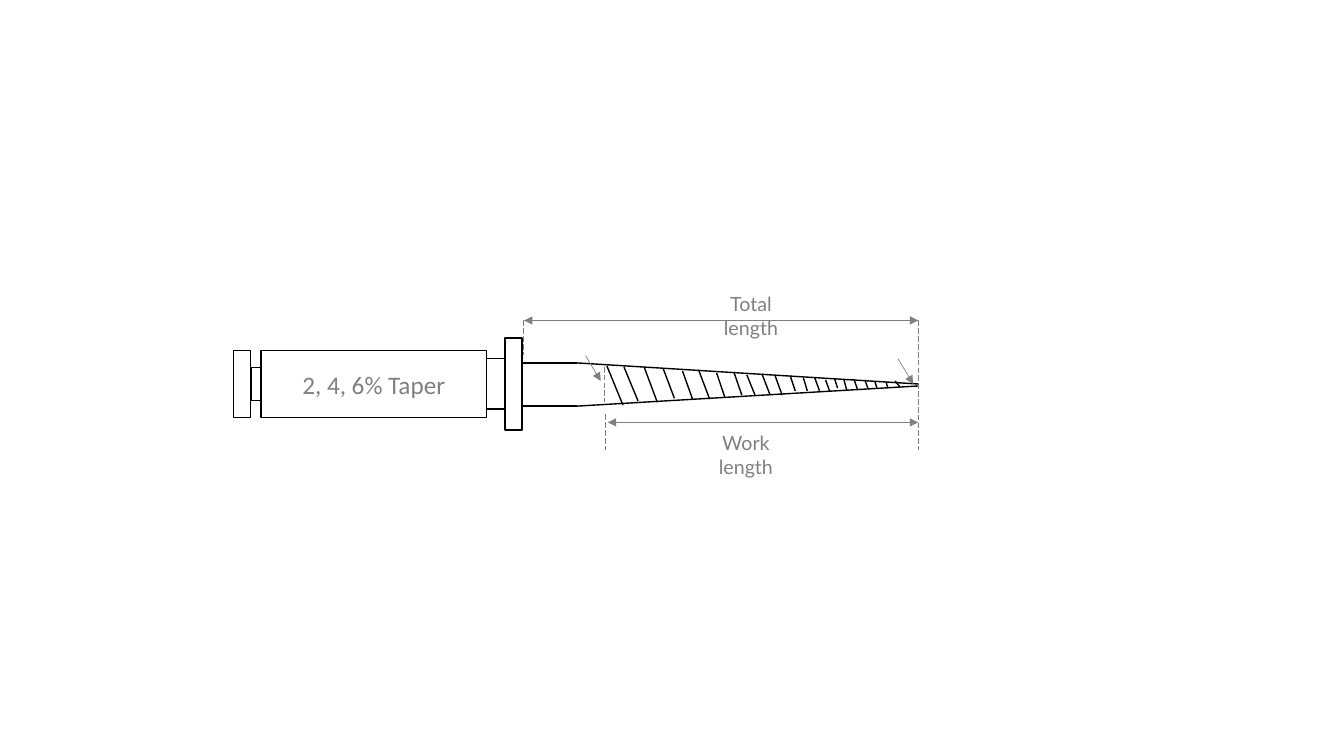
from lxml.etree import SubElement
from pptx import Presentation
from pptx.dml.color import RGBColor
from pptx.enum.dml import MSO_LINE
from pptx.enum.shapes import MSO_CONNECTOR, MSO_SHAPE
from pptx.enum.text import MSO_ANCHOR, PP_ALIGN
from pptx.oxml.ns import qn
from pptx.util import Pt

COLORS = {"outline": "000000", "measure": "808080"}

# Handle sections from left to right: width, height
HANDLE_PARTS = [(12.2, 48.2), (7.2, 23.8), (161.3, 48.2), (13, 36), (12.2, 65.5)]
GRIP_INDEX = 2

# Offsets from the start of the shaft and from the axis of the file
SHOULDER, TIP = 38.2, 282.2
SHAFT_TOP, SHAFT_BOTTOM, TIP_BOTTOM = -15.1, 15.8, 1.4

# Cutting edges: top x, top y, bottom x, bottom y
FLUTES = [
    (59.8, -13, 71.3, 15.1), (72, -12.2, 82.1, 12.2), (86.4, -12.2, 95.8, 13),
    (100.1, -10.8, 108, 10.1), (113.8, -9.4, 121, 10.8), (125.3, -10.1, 133.2, 10.8),
    (138.2, -7.9, 144, 9.4), (150.5, -8.6, 156.2, 7.9), (159.8, -6.5, 165.6, 7.9),
    (170.6, -7.2, 176.4, 7.9), (180, -5.8, 185, 7.9), (190.8, -5.8, 194.4, 5),
    (200.2, -4.3, 203, 5), (208.1, -5, 211.7, 5), (216, -2.9, 218.9, 5),
    (222.5, -3.6, 224.6, 2.9), (229, -3.6, 231.1, 4.3), (236.2, -3.6, 239, 4.3),
    (244.1, -2.9, 246.2, 2.9), (251.3, -1.4, 252.7, 2.9), (259.2, -1.4, 260.6, 2.9),
    (265.7, -2.2, 269.3, 2.2),
]


def rgb(name):
    return RGBColor.from_string(COLORS[name])


def write(frame, text, font_name, size):
    frame.text = text
    paragraph = frame.paragraphs[0]
    paragraph.alignment = PP_ALIGN.CENTER
    font = paragraph.runs[0].font
    font.name, font.size = font_name, Pt(size)
    font.color.rgb = rgb("measure")


def add_line(slide, origin, ends, color="outline", width=1, dashed=False, arrows=()):
    """Draw a line whose ends (x1, y1, x2, y2) are offsets from origin."""
    left, axis = origin
    x1, y1, x2, y2 = ends
    line = slide.shapes.add_connector(
        MSO_CONNECTOR.STRAIGHT,
        Pt(left + x1), Pt(axis + y1), Pt(left + x2), Pt(axis + y2))
    line.line.color.rgb = rgb(color)
    line.line.width = Pt(width)
    if dashed:
        line.line.dash_style = MSO_LINE.LONG_DASH
    properties = line.element.spPr
    for arrow in arrows:
        SubElement(properties.find(qn("a:ln")), qn(arrow), type="triangle")
    SubElement(properties, qn("a:effectLst"))


def draw_handle(slide, left, axis):
    for index, (width, height) in enumerate(HANDLE_PARTS):
        part = slide.shapes.add_shape(
            MSO_SHAPE.RECTANGLE,
            Pt(left), Pt(axis - height / 2), Pt(width), Pt(height))
        part.shadow.inherit = False
        part.fill.background()
        part.line.color.rgb = rgb("outline")
        part.line.width = Pt(1)
        if index == GRIP_INDEX:
            part.text_frame.vertical_anchor = MSO_ANCHOR.MIDDLE
            write(part.text_frame, "2, 4, 6% Taper", "Calibri", 18)
        left += width


def draw_shaft(slide, origin):
    for edge, tip_edge in ((SHAFT_TOP, 0), (SHAFT_BOTTOM, TIP_BOTTOM)):
        add_line(slide, origin, (0, edge, SHOULDER, edge))
        add_line(slide, origin, (SHOULDER, edge, TIP, tip_edge))
    for flute in FLUTES:
        add_line(slide, origin, flute)


def draw_measures(slide, origin):
    total_y, work_y, guide_bottom = -45.4, 27.4, 46.8
    guides = [
        (0, total_y, 0, -20.9), (TIP, total_y, TIP, guide_bottom),
        (59, 21.6, 59, guide_bottom), (58.3, -12.2, 58.3, 13),
    ]
    for guide in guides:
        add_line(slide, origin, guide, "measure", 0.5, dashed=True)
    for start, y in ((0.7, total_y), (60.5, work_y)):
        add_line(slide, origin, (start, y, TIP, y), "measure", 0.5,
                 arrows=("a:headEnd", "a:tailEnd"))
    for pointer in ((44.6, -20.2, 55.4, -2.2), (267.8, -18, 278.6, 0)):
        add_line(slide, origin, pointer, "measure", 0.5, arrows=("a:tailEnd",))

    left, axis = origin
    for text, x, y in (("Total length", 120.2, -69.1), ("Work length", 116.6, 30.2)):
        label = slide.shapes.add_textbox(Pt(left + x), Pt(axis + y), Pt(85), Pt(24.5))
        frame = label.text_frame
        frame.word_wrap = True
        frame.margin_left = frame.margin_right = Pt(10)
        write(frame, text, "Lato", 14)


def main():
    presentation = Presentation()
    presentation.slide_width, presentation.slide_height = Pt(960), Pt(540)
    slide = presentation.slides.add_slide(presentation.slide_layouts[6])
    axis = 274.3
    shaft_origin = (373.7, axis)
    draw_handle(slide, 167, axis)
    draw_shaft(slide, shaft_origin)
    draw_measures(slide, shaft_origin)
    presentation.save("out.pptx")


if __name__ == "__main__":
    main()
